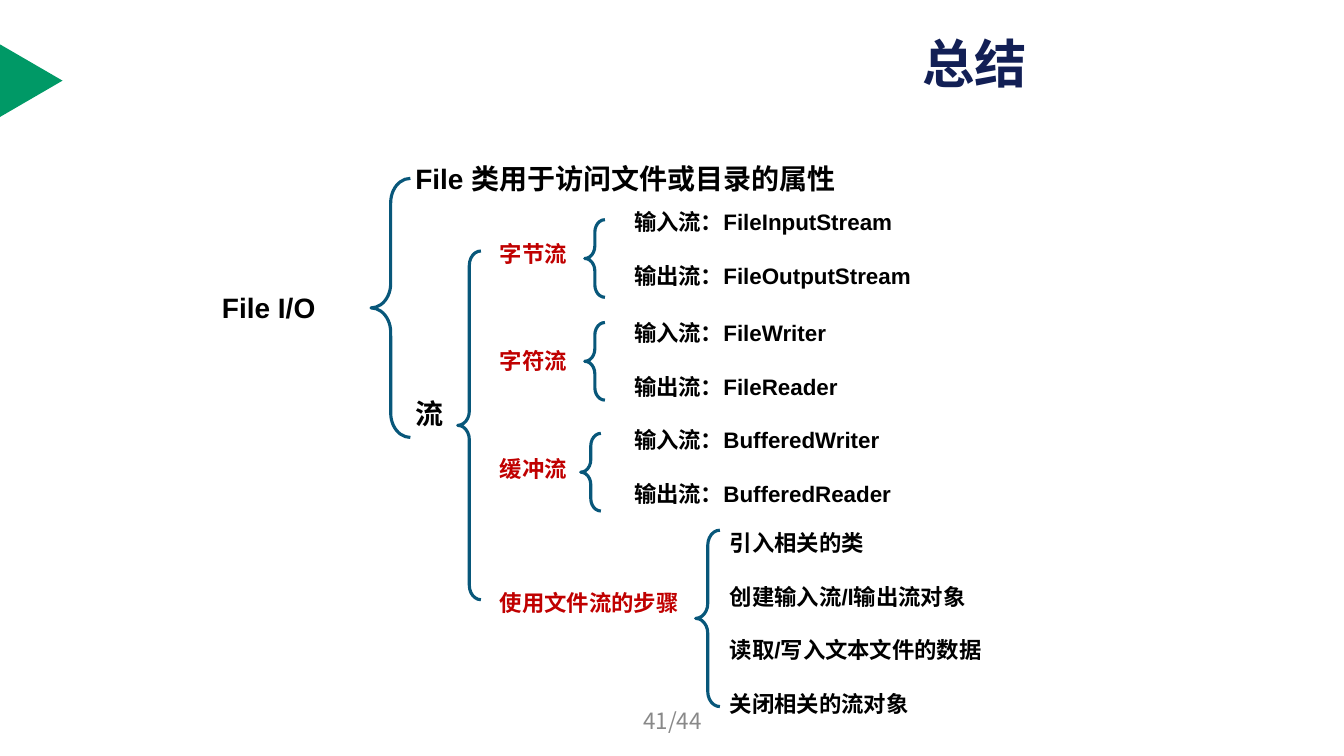
from lxml import etree
from pptx import Presentation, util as u
from pptx.dml.color import RGBColor
from pptx.enum import shapes, text
from pptx.oxml.ns import qn

# Content: each line is (blank lines above, wording)
TITLE = "总结"
PAGE = "41/44"
ROOT = "File I/O"
TOPICS = [(0, "File 类用于访问文件或目录的属性"), (6, "流")]
KINDS = [(0, "字节流"), (3, "字符流"), (3, "缓冲流"), (4, "使用文件流的步骤")]
PAIRS = [
    (202, "FileInputStream", "FileOutputStream"),
    (312, "FileWriter", "FileReader"),
    (418, "BufferedWriter", "BufferedReader"),
]
STEPS = ["引入相关的类", "创建输入流/l输出流对象", "读取/写入文本文件的数据", "关闭相关的流对象"]

# Braces: left, top, width, height in px
BRACES = [
    (368, 177, 39, 257), (454, 249, 23, 346),
    (580, 218, 20, 77), (580, 320, 20, 77), (576, 430, 20, 77),
    (690, 526, 24, 175),
]

BLACK = RGBColor(0x00, 0x00, 0x00)
RED = RGBColor(0xC0, 0x00, 0x00)
NAVY = RGBColor(0x12, 0x1F, 0x55)
BLUE = RGBColor(0x08, 0x57, 0x7A)
GREEN = RGBColor(0x00, 0x99, 0x66)
GRAY = RGBColor(0x89, 0x89, 0x89)
LATIN = "Arial"
HAN = "Noto Sans CJK SC"
LEFT, MID = text.PP_ALIGN.LEFT, text.PP_ALIGN.CENTER
LEAD = 1.2  # line height as a multiple of the font size


def px(*vals):
    """100 px make one inch."""
    return [u.Emu(v * 9144) for v in vals]


def style(para, size, color, face=LATIN, bold=True, align=LEFT):
    para.alignment = align
    font = para.font
    font.name, font.size, font.bold = face, u.Pt(size), bold
    font.color.rgb = color
    for props in para._p.iter(qn("a:defRPr")):
        etree.SubElement(props, qn("a:ea")).set("typeface", HAN)


def add_list(slide, box, lines, size, color=BLACK, align=LEFT):
    frame = slide.shapes.add_textbox(*px(*box)).text_frame
    frame.word_wrap = True
    frame.auto_size = text.MSO_AUTO_SIZE.SHAPE_TO_FIT_TEXT
    for i, (gap, line) in enumerate(lines):
        para = frame.add_paragraph() if i else frame.paragraphs[0]
        para.text = line
        para.line_spacing = u.Pt(size * LEAD)
        if gap:
            para.space_before = u.Pt(gap * size * LEAD)
        style(para, size, color, align=align)


def spaced(lines):
    return [(int(i > 0), line) for i, line in enumerate(lines)]


def add_brace(slide, box):
    brace = slide.shapes.add_shape(shapes.MSO_SHAPE.LEFT_BRACE, *px(*box))
    brace.shadow.inherit = False
    brace.adjustments[0] = 0.62
    brace.fill.background()
    brace.line.color.rgb = BLUE
    brace.line.width = u.Pt(2.25)


def main():
    prs = Presentation()
    prs.slide_width, prs.slide_height = px(1333, 750)
    slide = prs.slides.add_slide(prs.slide_layouts[5])

    # Marker at the left edge
    mark = slide.shapes.add_shape(
        shapes.MSO_SHAPE.ISOSCELES_TRIANGLE, *px(-5, 49, 72, 62))
    mark.rotation = 90
    mark.shadow.inherit = False
    mark.fill.solid()
    mark.fill.fore_color.rgb = GREEN
    mark.line.fill.background()

    # Title
    title = slide.shapes.title
    title.left, title.top, title.width, title.height = px(905, 30, 211, 64)
    frame = title.text_frame
    frame.text = TITLE
    frame.auto_size = text.MSO_AUTO_SIZE.NONE
    frame.vertical_anchor = text.MSO_ANCHOR.MIDDLE
    style(frame.paragraphs[0], 37.4, NAVY, HAN)

    # Tree, from root to leaves
    add_list(slide, (167, 283, 199, 44), [(0, ROOT)], 20, align=MID)
    add_list(slide, (402, 155, 485, 313), TOPICS, 20)
    add_list(slide, (486, 233, 267, 495), KINDS, 16, RED)
    for top, first, second in PAIRS:
        lines = spaced(["输入流:".replace(":", "：") + first, "输出流：" + second])
        add_list(slide, (619, top, 394, 91), lines, 16)
    add_list(slide, (714, 520, 394, 198), spaced(STEPS), 16)
    for box in BRACES:
        add_brace(slide, box)

    # Page number
    frame = slide.shapes.add_textbox(*px(456, 695, 422, 40)).text_frame
    frame.word_wrap = True
    frame.vertical_anchor = text.MSO_ANCHOR.MIDDLE
    frame.text = PAGE
    style(frame.paragraphs[0], 16, GRAY, HAN, False, MID)

    prs.save("out.pptx")


if __name__ == "__main__":
    main()
